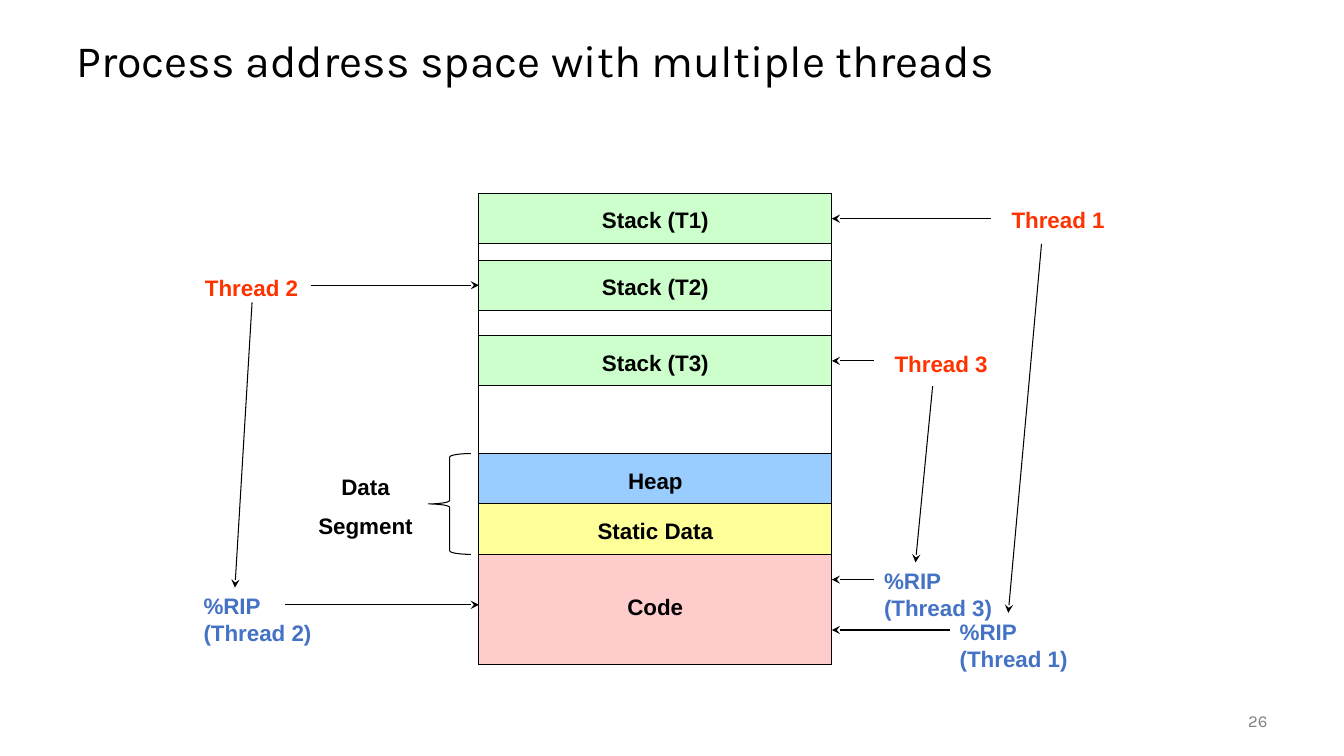
import pptx
import pptx.util
import pptx.dml.color
import pptx.enum.shapes
import pptx.enum.text
import pptx.oxml
import pptx.oxml.ns

Inches, Pt = pptx.util.Inches, pptx.util.Pt
SHAPE = pptx.enum.shapes.MSO_SHAPE
ALIGN = pptx.enum.text.PP_ALIGN
ANCHOR = pptx.enum.text.MSO_ANCHOR
BLACK, THREAD_RED, RIP_BLUE = "000000", "FF3300", "4472C4"
STACK_GREEN = "CCFFCC"


def color(hex_string):
    """Return the colour for a hex string."""
    return pptx.dml.color.RGBColor.from_string(hex_string)


def write(tf, lines, ink, size=16, font="Arial", bold=True, align=ALIGN.CENTER):
    """Write one paragraph per line into a text frame and return the first."""
    tf.word_wrap = True
    for i, line in enumerate(lines):
        p = tf.paragraphs[0] if i == 0 else tf.add_paragraph()
        p.alignment = align
        if i:
            p.space_before = Pt(9)
        r = p.add_run()
        r.text = line
        r.font.size, r.font.name, r.font.bold = Pt(size), font, bold
        r.font.color.rgb = color(ink)
    return tf.paragraphs[0]


def label(s, box, lines, ink, anchor=ANCHOR.TOP, **style):
    """Add a text box and return its first paragraph."""
    tf = s.shapes.add_textbox(*map(Inches, box)).text_frame
    tf.vertical_anchor = anchor
    return write(tf, lines, ink, **style)


def outlined(s, kind, box, fill=None):
    """Add a thin black-lined shape, filled if a colour is given."""
    sp = s.shapes.add_shape(kind, *map(Inches, box))
    sp.shadow.inherit = False
    sp.line.color.rgb = color(BLACK)
    sp.line.width = Pt(0.75)
    if fill:
        sp.fill.solid()
        sp.fill.fore_color.rgb = color(fill)
    else:
        sp.fill.background()
    return sp


def arrow(s, x1, y1, x2, y2):
    """Add a thin black arrow that points at its second end."""
    line = s.shapes.add_connector(
        pptx.enum.shapes.MSO_CONNECTOR.STRAIGHT, *map(Inches, (x1, y1, x2, y2)))
    line.line.color.rgb = color(BLACK)
    line.line.width = Pt(0.75)
    ns = pptx.oxml.ns.nsdecls("a")
    line.line._get_or_add_ln().append(
        pptx.oxml.parse_xml(f'<a:tailEnd {ns} type="stealth"/>'))
    line._element.spPr.append(pptx.oxml.parse_xml(f"<a:effectLst {ns}/>"))


def heading(s, box, text):
    """Add the slide title."""
    p = label(s, box, [text], BLACK, ANCHOR.MIDDLE, size=32, font="Karla",
              bold=False, align=ALIGN.LEFT)
    p.line_spacing = 0.9


def page_number(s, box, number):
    """Add the page number."""
    label(s, box, [number], "808080", ANCHOR.MIDDLE, size=12, font="Karla",
          bold=False, align=ALIGN.RIGHT)


def address_space(s, box):
    """Draw the memory column with its segments and the data brace."""
    left, top, width, height = box
    outlined(s, SHAPE.RECTANGLE, box)
    segments = [
        ("Stack (T1)", 0, 0.5, STACK_GREEN),
        ("Stack (T2)", 0.66, 0.5, STACK_GREEN),
        ("Stack (T3)", 1.41, 0.5, STACK_GREEN),
        ("Heap", 2.58, 0.5, "99CCFF"),
        ("Static Data", 3.08, 0.5, "FFFF99"),
        ("Code", 3.58, height - 3.58, "FFCCCC"),
    ]
    for name, dy, tall, fill in segments:
        sp = outlined(s, SHAPE.RECTANGLE, (left, top + dy, width, tall), fill)
        tf = sp.text_frame
        tf.vertical_anchor = ANCHOR.TOP
        tf.margin_top = Inches(0.13 if tall == 0.5 else 0.38)
        write(tf, [name], BLACK)
    outlined(s, SHAPE.LEFT_BRACE, (left - 0.5, top + 2.58, 0.42, 1))
    label(s, (left - 1.75, top + 2.72, 1.25, 0.77), ["Data", "Segment"], BLACK)


def threads(s, box):
    """Place each thread with arrows to its stack, its %RIP and the code."""
    left, top, width, height = box
    right = left + width
    rows = [
        (1, right, (4.83, 0.08), 1.58, 0.25, (5.58, 0.5, 5.25, 4.16),
         (4.67, 4.16, 1.33), 1.17, 4.33),
        (2, left, (-3.17, 0.75), -1.67, 0.91, (-2.25, 1.08, -2.42, 3.91),
         (-2.83, 3.91, 1.41), -1.92, 4.08),
        (3, right, (3.67, 1.5), 0.42, 1.66, (4.5, 1.91, 4.33, 3.66),
         (3.92, 3.66, 1.5), 0.42, 3.83),
    ]
    for n, edge, name, stack_dx, stack_dy, down, rip, code_dx, code_dy in rows:
        label(s, (left + name[0], top + name[1], 1.83, 0.37),
              [f"Thread {n}"], THREAD_RED)
        label(s, (left + rip[0], top + rip[1], rip[2], 0.64),
              [f"%RIP (Thread {n})"], RIP_BLUE, align=ALIGN.LEFT)
        for dx, dy in ((stack_dx, stack_dy), (code_dx, code_dy)):
            arrow(s, edge + dx, top + dy, edge, top + dy)
        x1, y1, x2, y2 = down
        arrow(s, left + x1, top + y1, left + x2, top + y2)


def main():
    """Build and save the slide."""
    prs = pptx.Presentation()
    prs.slide_width, prs.slide_height = Inches(13.33), Inches(7.5)
    s = prs.slides.add_slide(prs.slide_layouts[6])
    heading(s, (0.66, 0.25, 12, 0.75), "Process address space with multiple threads")
    page_number(s, (11.67, 6.95, 1, 0.4), "26")
    column = (4.75, 1.92, 3.5, 4.67)
    address_space(s, column)
    threads(s, column)
    prs.save("out.pptx")


if __name__ == "__main__":
    main()
